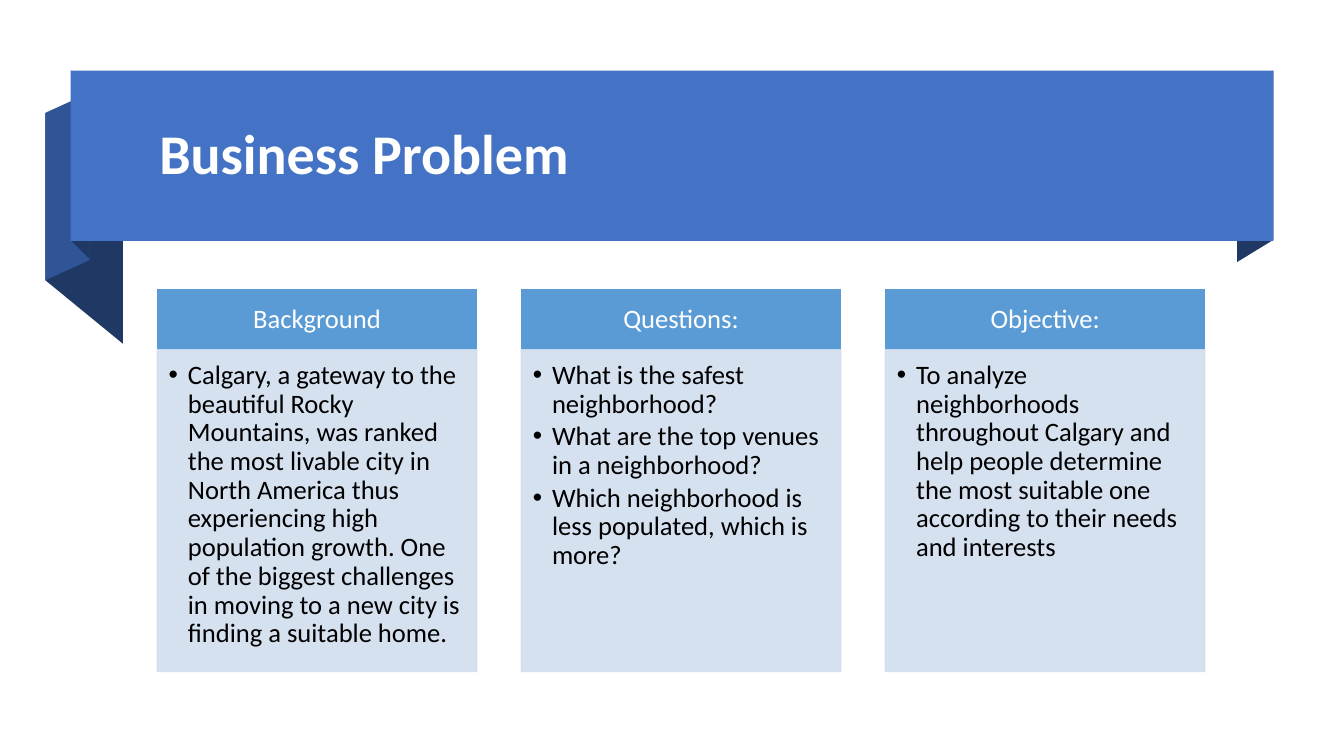
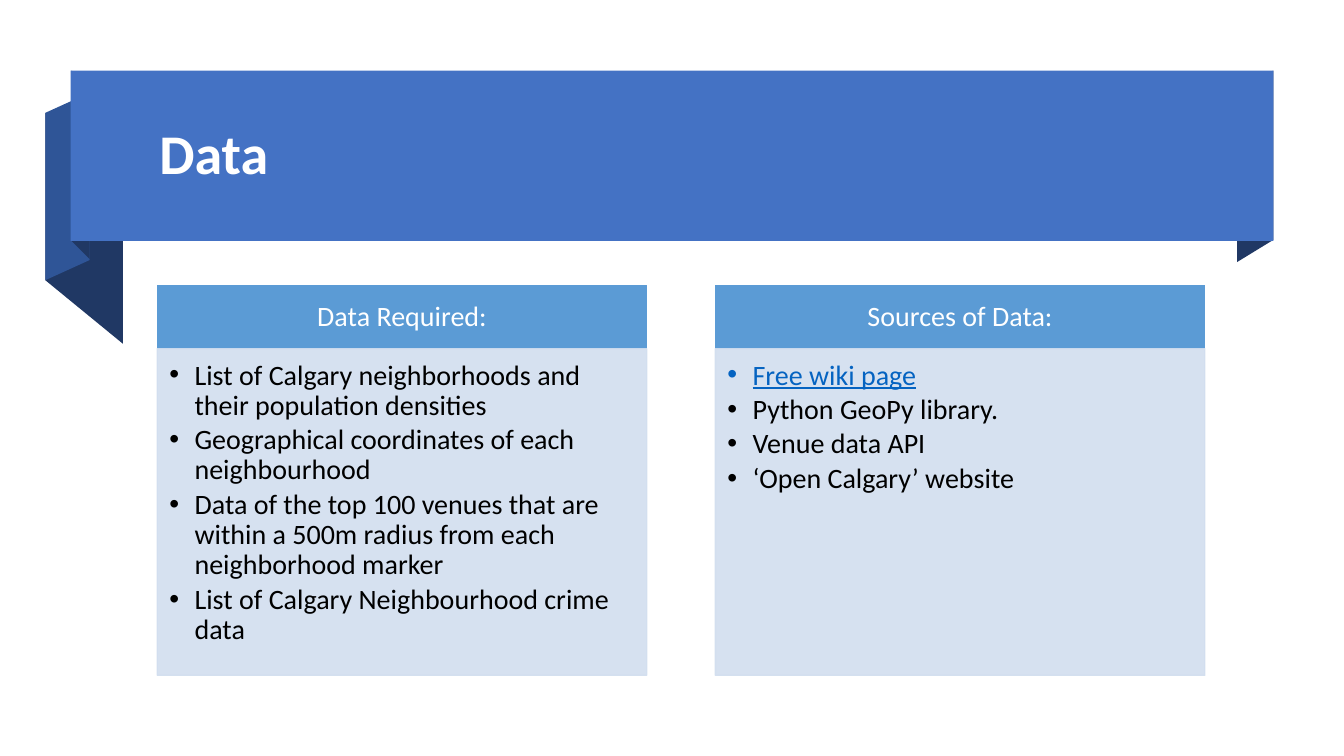
"""Build two ribbon-titled slides about choosing a Calgary neighborhood."""
from lxml import etree
from pptx import Presentation
from pptx.dml.color import RGBColor
from pptx.enum.shapes import MSO_SHAPE
from pptx.enum.text import MSO_ANCHOR, MSO_AUTO_SIZE, PP_ALIGN
from pptx.oxml.ns import qn
from pptx.util import Inches, Pt

WHITE = RGBColor(0xFF, 0xFF, 0xFF)
BLACK = RGBColor(0x00, 0x00, 0x00)
BAND_BLUE = RGBColor(0x44, 0x72, 0xC4)
FOLD_BLUE = RGBColor(0x2F, 0x55, 0x97)
FOLD_NAVY = RGBColor(0x20, 0x38, 0x64)
HEADER_BLUE = RGBColor(0x5B, 0x9B, 0xD5)
PANEL_BLUE = RGBColor(0xD2, 0xDE, 0xEF)
LINK_BLUE = RGBColor(0x05, 0x63, 0xC1)
FONT = "Calibri"

LINKED = {"Free wiki page"}
SLIDES = [
    {
        "title": "Business Problem",
        "size": 19, "indent": 0.19, "top": 2.87, "header": 0.6, "panel": 3.19,
        "columns": [
            ("Background", [
                "Calgary, a gateway to the beautiful Rocky Mountains, was ranked the most "
                "livable city in North America thus experiencing high population growth. "
                "One of the biggest challenges in moving to a new city is finding a "
                "suitable home.",
            ]),
            ("Questions:", [
                "What is the safest neighborhood?",
                "What are the top venues in a neighborhood?",
                "Which neighborhood is less populated, which is more?",
            ]),
            ("Objective:", [
                "To analyze neighborhoods throughout Calgary and help people determine the "
                "most suitable one according to their needs and interests",
            ]),
        ],
    },
    {
        "title": "Data",
        "size": 20, "indent": 0.25, "top": 2.83, "header": 0.63, "panel": 3.24,
        "columns": [
            ("Data Required:", [
                "List of Calgary neighborhoods and their population densities",
                "Geographical coordinates of each neighbourhood",
                "Data of the top 100 venues that are within a 500m radius from each "
                "neighborhood marker",
                "List of Calgary Neighbourhood crime data",
            ]),
            ("Sources of Data:", [
                "Free wiki page",
                "Python GeoPy library.",
                "Venue data API",
                "‘Open Calgary’ website",
            ]),
        ],
    },
]

BAND = (0.7, 0.7, 11.93, 1.69)
TITLE = (1.48, 0.83, 10.94, 1.45)
FOLD_UNIT = Inches(0.01)
FOLDS = [
    (FOLD_NAVY, [(1263, 238), (1227, 260), (1227, 91), (1263, 70)]),
    (FOLD_NAVY, [(122, 341), (45, 278), (45, 112), (122, 175)]),
    (FOLD_BLUE, [(89, 258), (45, 278), (45, 112), (89, 92)]),
    (FOLD_NAVY, [(89, 257), (71, 239), (71, 70), (89, 89)]),
]
GRID_LEFT, GRID_WIDTH, GAP_SHARE = 1.56, 10.39, 0.14


def paint(shape, color):
    shape.shadow.inherit = False
    shape.fill.solid()
    shape.fill.fore_color.rgb = color
    shape.line.fill.background()


def add_box(slide, place, color):
    box = slide.shapes.add_shape(MSO_SHAPE.RECTANGLE, *map(Inches, place))
    paint(box, color)
    return box


def outline(box, color):
    box.line.color.rgb = color
    box.line.width = Pt(1)


def soften(box, percent):
    for color in box._element.spPr.iter(qn("a:srgbClr")):
        etree.SubElement(color, qn("a:alpha")).set("val", str(percent * 1000))


def set_frame(frame, insets, anchor):
    frame.word_wrap = True
    frame.auto_size = MSO_AUTO_SIZE.NONE
    frame.vertical_anchor = anchor
    (frame.margin_left, frame.margin_top,
     frame.margin_right, frame.margin_bottom) = map(Inches, insets)


def write(paragraph, words, size, color, align=PP_ALIGN.LEFT, bold=False):
    paragraph.alignment = align
    paragraph.line_spacing = 0.9
    run = paragraph.add_run()
    run.text = words
    font = run.font
    font.name, font.size, font.bold = FONT, Pt(size), bold
    font.color.rgb = color
    return run


def set_bullet(paragraph, indent):
    props = paragraph._p.get_or_add_pPr()
    props.set("marL", str(Inches(indent)))
    props.set("indent", str(-Inches(indent)))
    etree.SubElement(props, qn("a:buFont")).set("typeface", "Arial")
    etree.SubElement(props, qn("a:buChar")).set("char", "•")


def add_ribbon_title(slide, words):
    for color, (start, *rest) in FOLDS:
        fold = slide.shapes.build_freeform(*start, scale=FOLD_UNIT)
        fold.add_line_segments(rest, close=True)
        paint(fold.convert_to_shape(), color)
    add_box(slide, BAND, BAND_BLUE)
    title = slide.shapes.title
    title.left, title.top, title.width, title.height = map(Inches, TITLE)
    set_frame(title.text_frame, (0.1, 0.05, 0.1, 0.05), MSO_ANCHOR.MIDDLE)
    write(title.text_frame.paragraphs[0], words, 40, WHITE, bold=True)
    slide.shapes._spTree.append(title._element)


def add_column(slide, left, width, heading, points, content):
    size, top, height = content["size"], content["top"], content["header"]
    near, far = 0.006 * size, 0.008 * size

    header = add_box(slide, (left, top, width, height), HEADER_BLUE)
    outline(header, HEADER_BLUE)
    set_frame(header.text_frame, (far, 0.08, far, 0.08), MSO_ANCHOR.MIDDLE)
    write(header.text_frame.paragraphs[0], heading, size, WHITE, PP_ALIGN.CENTER)

    panel = add_box(slide, (left, top + height, width, content["panel"]), PANEL_BLUE)
    outline(panel, PANEL_BLUE)
    soften(panel, 90)
    frame = panel.text_frame
    set_frame(frame, (near, near, far, 0.17), MSO_ANCHOR.TOP)
    for index, point in enumerate(points):
        paragraph = frame.add_paragraph() if index else frame.paragraphs[0]
        set_bullet(paragraph, content["indent"])
        paragraph.space_after = Pt(0.15 * size)
        linked = point in LINKED
        run = write(paragraph, point, size, LINK_BLUE if linked else BLACK)
        run.font.underline = linked


def main():
    deck = Presentation()
    deck.slide_width, deck.slide_height = Inches(13.33), Inches(7.5)
    title_only = deck.slide_layouts[5]
    for content in SLIDES:
        slide = deck.slides.add_slide(title_only)
        add_ribbon_title(slide, content["title"])
        columns = content["columns"]
        count = len(columns)
        width = GRID_WIDTH / (count + GAP_SHARE * (count - 1))
        for index, (heading, points) in enumerate(columns):
            left = GRID_LEFT + index * width * (1 + GAP_SHARE)
            add_column(slide, left, width, heading, points, content)
    deck.save("out.pptx")


if __name__ == "__main__":
    main()
